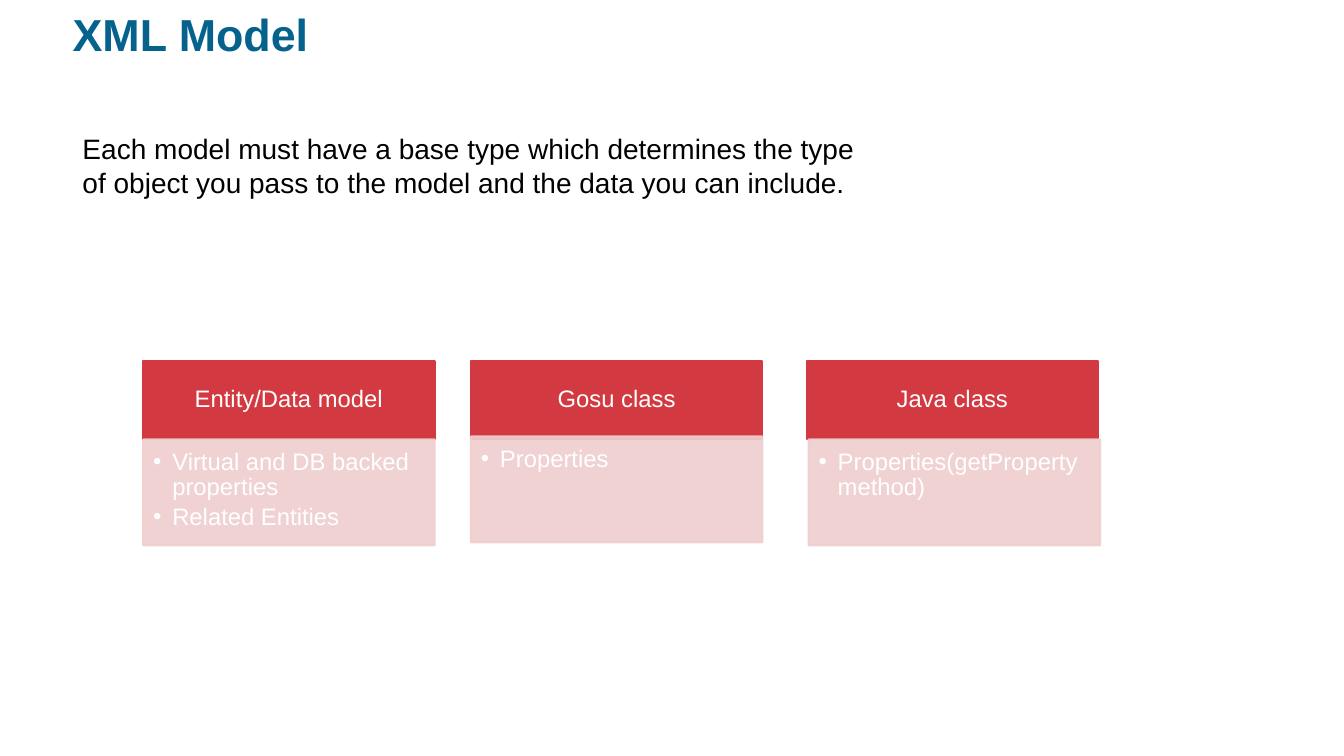
from dataclasses import dataclass

from lxml import etree
from pptx import Presentation
from pptx.dml.color import RGBColor
from pptx.enum.shapes import MSO_SHAPE
from pptx.enum.text import MSO_ANCHOR, MSO_AUTO_SIZE, PP_ALIGN
from pptx.oxml.ns import qn
from pptx.util import Inches, Pt

RECTANGLE = MSO_SHAPE.RECTANGLE
TOP, MIDDLE = MSO_ANCHOR.TOP, MSO_ANCHOR.MIDDLE
LEFT, CENTER = PP_ALIGN.LEFT, PP_ALIGN.CENTER
NO_FIT = MSO_AUTO_SIZE.NONE
TITLE_ONLY = 5

COLORS = {
    "title": "04628C",
    "text": "000000",
    "header": "D33941",
    "body": "EFCECF",
    "light": "FFFFFF",
}
FONT = "Arial"
CARD_WIDTH, HEADER_TOP, HEADER_HEIGHT, BODY_HEIGHT = 2.89, 3.58, 0.78, 1.05
BODY_OPACITY = 90


@dataclass
class BaseType:
    name: str
    details: list[str]
    header_left: float
    body_left: float
    body_top: float


BASE_TYPES = [
    BaseType("Entity/Data model", ["Virtual and DB backed properties", "Related Entities"],
             1.42, 1.42, 4.36),
    BaseType("Gosu class", ["Properties"], 4.67, 4.67, 4.33),
    BaseType("Java class", ["Properties(getProperty method)"], 8, 8.02, 4.36),
]


def rgb(name: str) -> RGBColor:
    return RGBColor.from_string(COLORS[name])


def set_attributes(target, values: dict) -> None:
    for name, value in values.items():
        setattr(target, name, value)


def set_frame(frame, margins: tuple, anchor) -> None:
    left, top, right, bottom = map(Inches, margins)
    set_attributes(frame, {
        "word_wrap": True, "auto_size": NO_FIT, "vertical_anchor": anchor,
        "margin_left": left, "margin_top": top,
        "margin_right": right, "margin_bottom": bottom,
    })


def add_bullet(para) -> None:
    properties = para._p.get_or_add_pPr()
    properties.set("marL", str(Inches(0.19)))
    properties.set("indent", str(-Inches(0.19)))
    etree.SubElement(properties, qn("a:buFont")).set("typeface", FONT)
    etree.SubElement(properties, qn("a:buChar")).set("char", "•")


def write_lines(frame, lines: list[str], size: float, color: str, bold: bool = False,
                bullets: bool = False, **para_format) -> None:
    for index, line in enumerate(lines):
        para = frame.paragraphs[0] if index == 0 else frame.add_paragraph()
        set_attributes(para, para_format)
        if bullets:
            add_bullet(para)
        span = para.add_run()
        span.text = line
        set_attributes(span.font, {"name": FONT, "size": Pt(size), "bold": bold})
        span.font.color.rgb = rgb(color)


def add_panel(page, left: float, top: float, height: float, color: str, opacity: int = 100):
    box = page.shapes.add_shape(RECTANGLE, Inches(left), Inches(top),
                                Inches(CARD_WIDTH), Inches(height))
    box.shadow.inherit = False
    box.fill.solid()
    box.line.width = Pt(1.5)
    for paint in (box.fill.fore_color, box.line.color):
        paint.rgb = rgb(color)
    if opacity < 100:
        for fill_color in box._element.spPr.iter(qn("a:srgbClr")):
            etree.SubElement(fill_color, qn("a:alpha")).set("val", str(opacity * 1000))
    return box


def add_base_type(page, base: BaseType) -> None:
    header = add_panel(page, base.header_left, HEADER_TOP, HEADER_HEIGHT, "header")
    set_frame(header.text_frame, (0.13, 0.08, 0.13, 0.08), MIDDLE)
    write_lines(header.text_frame, [base.name], 17, "light",
                alignment=CENTER, line_spacing=0.9)

    body = add_panel(page, base.body_left, base.body_top, BODY_HEIGHT, "body", BODY_OPACITY)
    set_frame(body.text_frame, (0.1, 0.1, 0.13, 0.15), TOP)
    write_lines(body.text_frame, base.details, 17, "light", bullets=True,
                alignment=LEFT, line_spacing=0.9, space_after=Pt(2.5))


def main() -> None:
    deck = Presentation()
    deck.slide_width, deck.slide_height = Inches(13.33), Inches(7.5)
    page = deck.slides.add_slide(deck.slide_layouts[TITLE_ONLY])

    # Title
    title = page.shapes.title
    set_attributes(title, {"left": Inches(0.72), "top": Inches(0.13),
                           "width": Inches(12.13), "height": Inches(0.81)})
    set_frame(title.text_frame, (0, 0, 0, 0), TOP)
    write_lines(title.text_frame, ["XML Model"], 32, "title", bold=True,
                alignment=LEFT, line_spacing=0.9)

    # Introduction
    intro = page.shapes.add_textbox(Inches(0.72), Inches(1.26), Inches(8.2), Inches(0.8))
    set_frame(intro.text_frame, (0.1, 0.05, 0.1, 0.05), TOP)
    write_lines(intro.text_frame, [
        "Each model must have a base type which determines the type",
        "of object you pass to the model and the data you can include.",
    ], 20, "text")

    # Base types
    for base in BASE_TYPES:
        add_base_type(page, base)

    deck.save("out.pptx")


if __name__ == "__main__":
    main()
